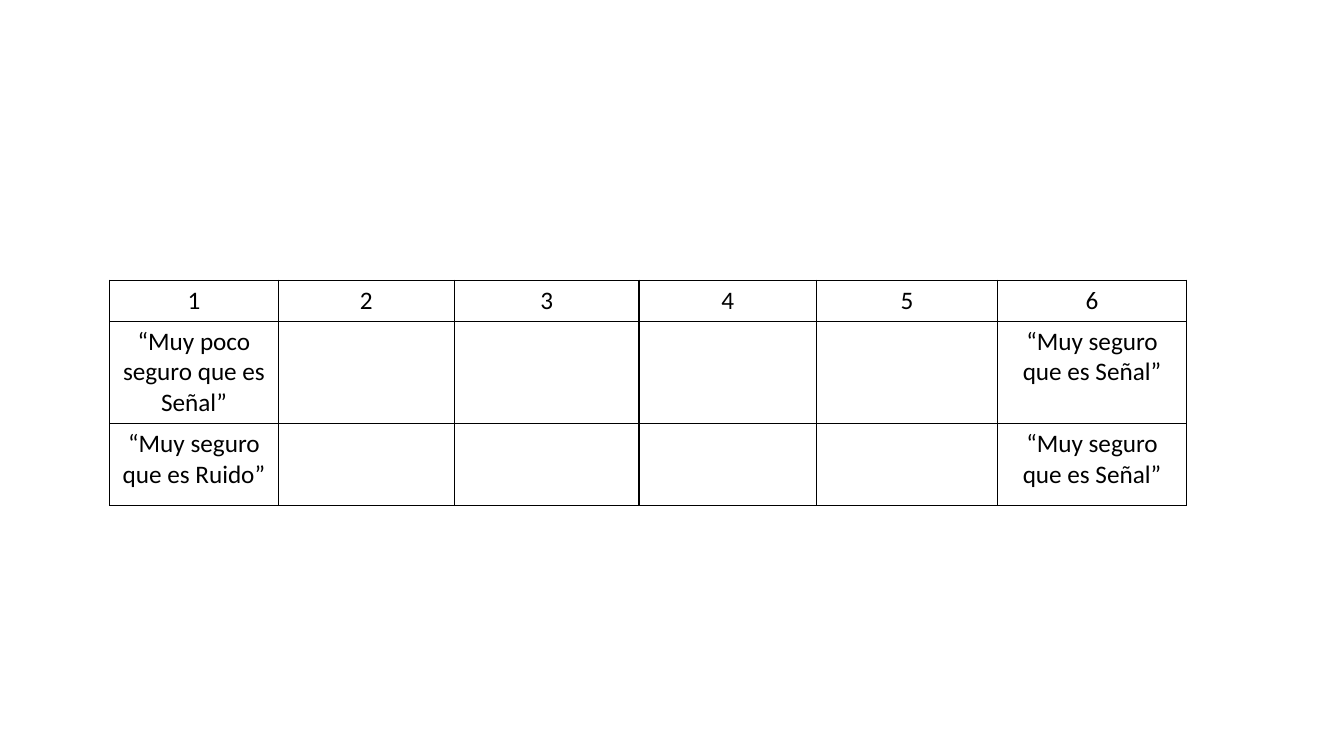
from lxml.etree import SubElement
from pptx import Presentation
from pptx.dml.color import RGBColor
from pptx.enum.text import PP_ALIGN
from pptx.oxml.ns import qn
from pptx.util import Pt

COLORS = {"ink": "000000"}
COL_WIDTHS = [20.16, 120.24, 126, 131.76, 126.72, 129.6, 134.64]
ROW_HEIGHTS = [29.2, 58.4, 58.4]
SURE_SIGNAL = "“Muy seguro que es Señal”"
RATINGS = [
    ["1", "2", "3", "4", "5", "6"],
    ["“Muy poco seguro que es Señal”", "", "", "", "", SURE_SIGNAL],
    ["“Muy seguro que es Ruido”", "", "", "", "", SURE_SIGNAL],
]


def set_borders(cell, visible):
    tcPr = cell._tc.get_or_add_tcPr()
    for side in "LRTB":
        ln = SubElement(tcPr, qn("a:ln" + side), w=str(Pt(1)))
        if side in visible:
            fill = SubElement(ln, qn("a:solidFill"))
            SubElement(fill, qn("a:srgbClr"), val=COLORS["ink"])
        else:
            SubElement(ln, qn("a:noFill"))


def format_cell(cell, text, visible):
    set_borders(cell, visible)
    cell.fill.background()
    cell.text = text
    p = cell.text_frame.paragraphs[0]
    p.alignment = PP_ALIGN.CENTER
    p.font.name = "Calibri"
    p.font.size = Pt(18)
    p.font.color.rgb = RGBColor.from_string(COLORS["ink"])


def add_rating_table(s, left, top):
    table = s.shapes.add_table(
        len(ROW_HEIGHTS), len(COL_WIDTHS), Pt(left), Pt(top),
        Pt(sum(COL_WIDTHS)), Pt(sum(ROW_HEIGHTS))).table
    table.first_row = table.horz_banding = False
    for column, width in zip(table.columns, COL_WIDTHS):
        column.width = Pt(width)
    for row, height in zip(table.rows, ROW_HEIGHTS):
        row.height = Pt(height)
    for i, labels in enumerate(RATINGS):
        format_cell(table.cell(i, 0), "", "R")
        for j, label in enumerate(labels, 1):
            format_cell(table.cell(i, j), label, "LRTB")
    table.cell(0, 0).merge(table.cell(len(RATINGS) - 1, 0))


prs = Presentation()
prs.slide_width, prs.slide_height = Pt(960), Pt(540)
s = prs.slides.add_slide(prs.slide_layouts[6])
add_rating_table(s, 58.3, 200.2)
prs.save("out.pptx")
